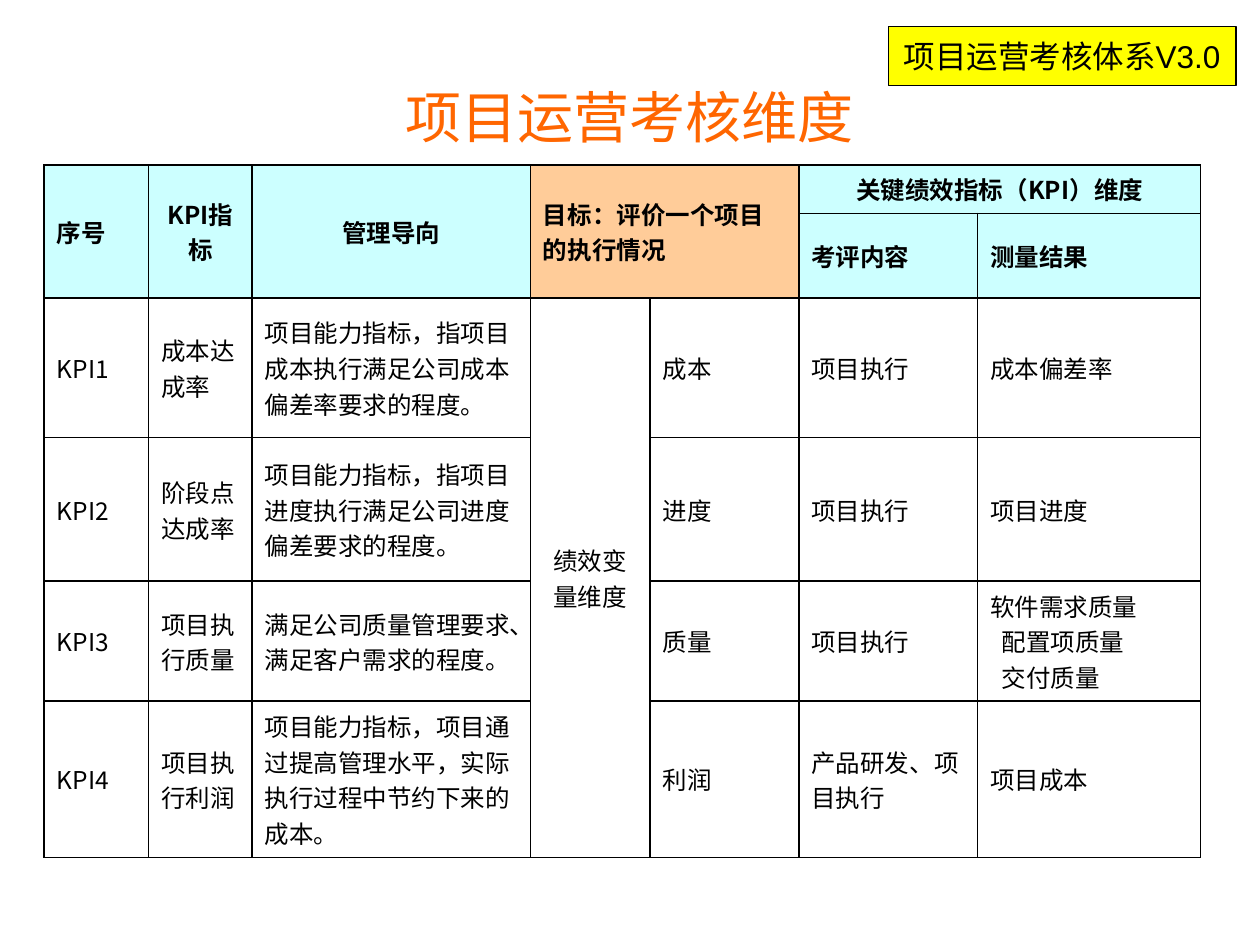
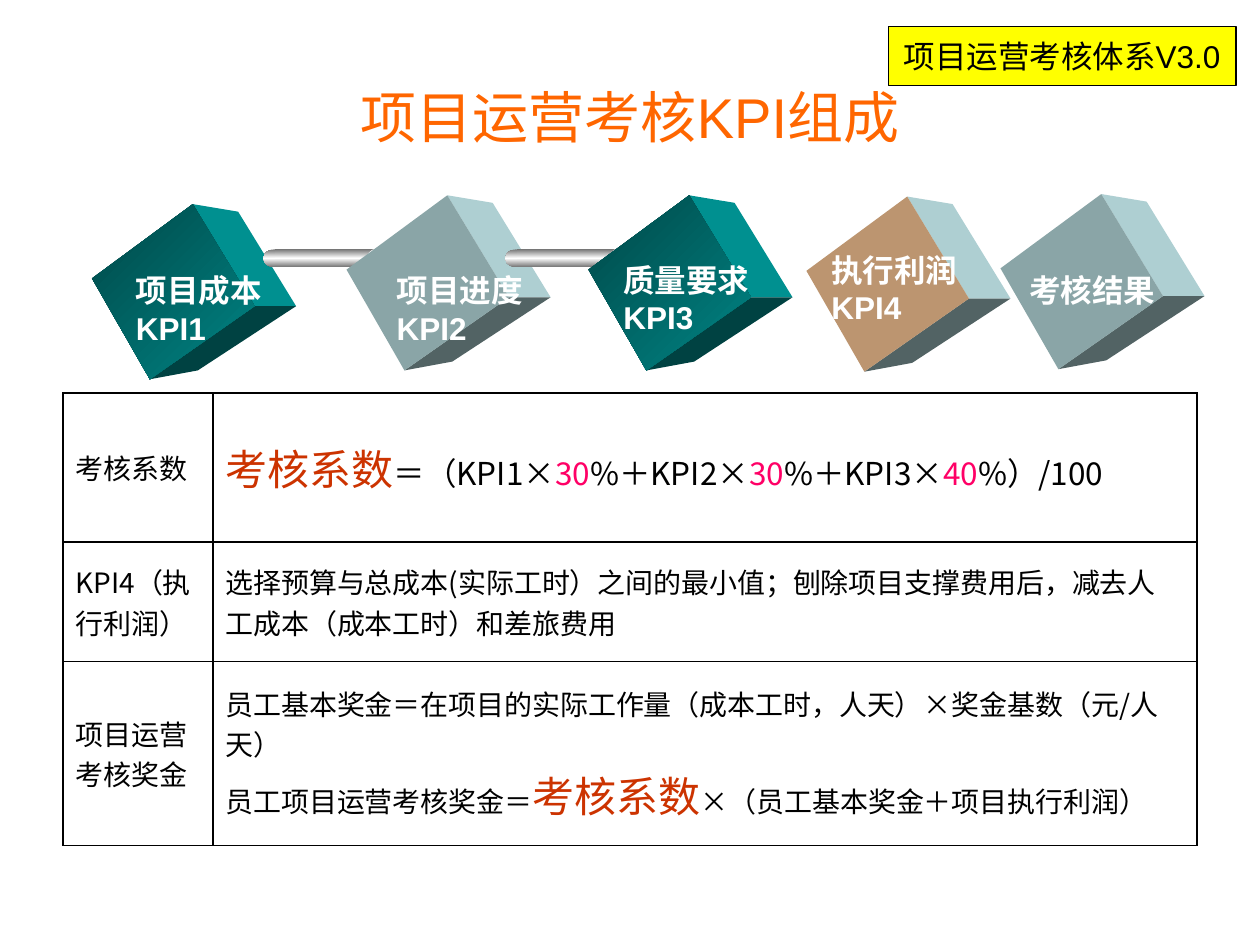
from lxml import etree
from pptx import Presentation
from pptx import util as u
from pptx.dml.color import RGBColor
from pptx.enum import shapes, text
from pptx.oxml import ns

# Shared look
LATIN, CHINESE = "Arial", "Noto Sans CJK SC"
BLACK, WHITE, ORANGE, YELLOW = "000000", "FFFFFF", "FF6600", "FFFF00"
HEADER, GOAL = "CCFFFF", "FFCC99"
RED, PINK = "CC3300", "FF0066"
CENTER, LEFT = text.PP_ALIGN.CENTER, text.PP_ALIGN.LEFT
MIDDLE, TOP = text.MSO_ANCHOR.MIDDLE, text.MSO_ANCHOR.TOP

# Cube faces: front colours (dark to light), side, underside
TEAL = (["004747", "008585"], "009090", "004242")
GREY = (["8AA5A7"], "AECFD2", "526364")
TAN = (["BC9570"], "AECFD2", "526364")

# Cube corners, in inches from the centre of the front face
FRONT_LEFT, FRONT_TOP = (-0.63, -0.11), (0.17, -0.7)
FRONT_RIGHT, FRONT_BOTTOM = (0.66, 0.11), (-0.17, 0.69)
BACK_TOP, BACK_RIGHT, BACK_BOTTOM = (0.53, -0.64), (0.99, 0.11), (0.21, 0.62)


def rgb(color):
    return RGBColor.from_string(color)


def box(left, top, width, height):
    return [u.Inches(value) for value in (left, top, width, height)]


def write(frame, paragraphs, size=14, color=BLACK, font=LATIN, bold=False,
          align=LEFT, anchor=MIDDLE, wrap=True):
    """Each paragraph is a string or a list of (text, format) runs."""
    frame.word_wrap = wrap
    frame.vertical_anchor = anchor
    for index, runs in enumerate(paragraphs):
        paragraph = frame.paragraphs[0] if index == 0 else frame.add_paragraph()
        paragraph.alignment = align
        if isinstance(runs, str):
            runs = [(runs, {})]
        for words, look in runs:
            if words == "\n":
                paragraph.add_line_break()
                continue
            run = paragraph.add_run()
            run.text = words
            run.font.size = u.Pt(look.get("size", size))
            run.font.bold = bold
            run.font.color.rgb = rgb(look.get("color", color))
            run.font.name = font
            east_asian = etree.SubElement(run.font._element, ns.qn("a:ea"))
            east_asian.set("typeface", CHINESE)


def paint(shape, colors, angle=90, line=None, line_width=1):
    """One colour gives a solid fill, several an even gradient."""
    shape.shadow.inherit = False
    if len(colors) == 1:
        shape.fill.solid()
        shape.fill.fore_color.rgb = rgb(colors[0])
    else:
        shape.fill.gradient()
        shape.fill.gradient_angle = angle
        stops = shape._element.spPr.find(".//" + ns.qn("a:gsLst"))
        for stop in list(stops):
            stops.remove(stop)
        for index, color in enumerate(colors):
            stop = etree.SubElement(stops, ns.qn("a:gs"))
            stop.set("pos", str(100000 * index // (len(colors) - 1)))
            etree.SubElement(stop, ns.qn("a:srgbClr")).set("val", color)
    if line:
        shape.line.color.rgb = rgb(line)
        shape.line.width = u.Pt(line_width)
    else:
        shape.line.fill.background()


def add_titled_slide(presentation, title):
    slide = presentation.slides.add_slide(presentation.slide_layouts[5])
    holder = slide.shapes.title
    holder.left, holder.top, holder.width, holder.height = box(0.5, 0.3, 9, 1.25)
    write(holder.text_frame, [title], size=32, color=ORANGE, align=CENTER)
    return slide


def add_badge(slide):
    badge = slide.shapes.add_shape(
        shapes.MSO_SHAPE.FLOWCHART_PROCESS, *box(7.05, 0.21, 2.76, 0.47))
    paint(badge, [YELLOW], line=BLACK, line_width=0.75)
    write(badge.text_frame, ["项目运营考核体系V3.0"], size=18, align=CENTER,
          wrap=False)


def add_table(slide, left, top, columns, rows):
    shape = slide.shapes.add_table(
        len(rows), len(columns), *box(left, top, sum(columns), sum(rows)))
    table = shape.table
    table.first_row = table.horz_banding = False
    for column, width in zip(table.columns, columns):
        column.width = u.Inches(width)
    for row, height in zip(table.rows, rows):
        row.height = u.Inches(height)
    for cell in table.iter_cells():
        add_borders(cell)
        cell.fill.background()
    return table


def add_borders(cell):
    properties = cell._tc.get_or_add_tcPr()
    for side in ("lnL", "lnR", "lnT", "lnB"):
        line = etree.SubElement(properties, ns.qn("a:" + side))
        line.set("w", str(u.Pt(1)))
        fill = etree.SubElement(line, ns.qn("a:solidFill"))
        etree.SubElement(fill, ns.qn("a:srgbClr")).set("val", BLACK)


def fill_cell(cell, paragraphs, fill=None, **look):
    if fill:
        cell.fill.solid()
        cell.fill.fore_color.rgb = rgb(fill)
    cell.vertical_anchor = MIDDLE
    write(cell.text_frame, paragraphs, font=CHINESE, **look)


def add_cube(slide, center_x, center_y, faces):
    front, side, underside = faces
    outlines = (
        ([side], (FRONT_TOP, BACK_TOP, BACK_RIGHT, FRONT_RIGHT)),
        ([underside], (FRONT_RIGHT, BACK_RIGHT, BACK_BOTTOM, FRONT_BOTTOM)),
        (front, (FRONT_LEFT, FRONT_TOP, FRONT_RIGHT, FRONT_BOTTOM)),
    )
    for colors, corners in outlines:
        points = [(u.Inches(center_x + x), u.Inches(center_y + y))
                  for x, y in corners]
        builder = slide.shapes.build_freeform(*points[0])
        builder.add_line_segments(points[1:], close=True)
        paint(builder.convert_to_shape(), colors, angle=315)


def add_rod(slide, left):
    """A metal rod with a rounded start and a drilled end."""
    group = slide.shapes.add_group_shape()
    oval, bar = shapes.MSO_SHAPE.OVAL, shapes.MSO_SHAPE.RECTANGLE
    for kind, offset, top, width, height, edge, line in (
            (oval, 0, 1.98, 0.17, 0.14, "767676", None),
            (bar, 0.09, 1.98, 0.82, 0.14, "767676", None),
            (oval, 0.83, 1.98, 0.15, 0.13, "B6B6B6", WHITE),
            (oval, 0.91, 2.02, 0.04, 0.04, "B6B6B6", None)):
        part = group.shapes.add_shape(
            kind, *box(left + offset, top, width, height))
        paint(part, [edge, WHITE, edge], line=line)


def add_label(slide, left, top, width, height, lines):
    label = slide.shapes.add_textbox(*box(left, top, width, height))
    write(label.text_frame, lines, size=18, color=WHITE, bold=True, anchor=TOP)


def build_dimensions(presentation):
    slide = add_titled_slide(presentation, "项目运营考核维度")
    add_badge(slide)
    table = add_table(slide, 0.35, 1.31,
                      [0.83, 0.82, 2.21, 0.95, 1.18, 1.42, 1.77],
                      [0.38, 0.67, 1.11, 1.14, 0.95, 1.24])

    # Header: row, column, last row, last column, words, fill, alignment
    for row, column, last_row, last_column, words, fill, align in (
            (0, 0, 1, 0, "序号", HEADER, LEFT),
            (0, 1, 1, 1, "KPI指标", HEADER, CENTER),
            (0, 2, 1, 2, "管理导向", HEADER, CENTER),
            (0, 3, 1, 4, "目标：评价一个项目的执行情况", GOAL, LEFT),
            (0, 5, 0, 6, "关键绩效指标（KPI）维度", HEADER, CENTER),
            (1, 5, 1, 5, "考评内容", HEADER, LEFT),
            (1, 6, 1, 6, "测量结果", HEADER, LEFT)):
        cell = table.cell(row, column)
        if (row, column) != (last_row, last_column):
            cell.merge(table.cell(last_row, last_column))
        fill_cell(cell, [words], fill=fill, bold=True, align=align)

    # Body: one row for each KPI, beside the shared dimension cell
    dimension = table.cell(2, 3)
    dimension.merge(table.cell(5, 3))
    fill_cell(dimension, ["绩效变量维度"], align=CENTER)
    body = (
        ("成本达成率", "项目能力指标，指项目成本执行满足公司成本偏差率要求的程度。",
         "成本", "项目执行", ["成本偏差率"]),
        ("阶段点达成率", "项目能力指标，指项目进度执行满足公司进度偏差要求的程度。",
         "进度", "项目执行", ["项目进度"]),
        ("项目执行质量", "满足公司质量管理要求、满足客户需求的程度。",
         "质量", "项目执行", ["软件需求质量", "配置项质量", "交付质量"]),
        ("项目执行利润", "项目能力指标，项目通过提高管理水平，实际执行过程中节约下来的成本。",
         "利润", "产品研发、项目执行", ["项目成本"]),
    )
    for number, (name, guidance, variable, content, results) in enumerate(body, 1):
        row = number + 1
        for column, words in ((0, f"KPI{number}"), (1, name), (2, guidance),
                              (4, variable), (5, content)):
            fill_cell(table.cell(row, column), [words])
        fill_cell(table.cell(row, 6), results)
        for paragraph in table.cell(row, 6).text_frame.paragraphs[1:]:
            paragraph._p.get_or_add_pPr().set("marL", str(u.Inches(0.09)))


def build_composition(presentation):
    slide = add_titled_slide(presentation, "项目运营考核KPI组成")

    # Cubes joined by rods
    add_cube(slide, 1.36, 2.32, TEAL)
    add_rod(slide, 2.09)
    add_cube(slide, 3.38, 2.25, GREY)
    add_rod(slide, 4.01)
    add_cube(slide, 5.3, 2.25, TEAL)
    add_cube(slide, 8.57, 2.24, GREY)
    add_label(slide, 0.98, 2.1, 1.28, 0.7, ["项目成本", "KPI1"])
    add_label(slide, 3.05, 2.1, 1.56, 0.7, ["项目进度", "KPI2"])
    add_label(slide, 4.85, 2.02, 1.44, 0.7, ["质量要求", "KPI3"])
    add_label(slide, 8.07, 2.1, 1.42, 0.4, ["考核结果"])

    # Formulas
    table = add_table(slide, 0.5, 3.12, [1.19, 7.81], [1.18, 0.95, 1.46])
    factor = ("考核系数", {"size": 24, "color": RED})
    formula = [factor]
    for words, weight in (("＝（KPI1×", "30"), ("%＋KPI2×", "30"),
                          ("%＋KPI3×", "40")):
        formula += [(words, {"size": 18}), (weight, {"size": 18, "color": PINK})]
    formula.append(("%）/100", {"size": 18}))
    bonus = [
        ("员工基本奖金＝在项目的实际工作量（成本工时，人天）×奖金基数（元/人天）", {}),
        ("\n", {}),
        ("员工项目运营考核奖金＝", {}),
        factor,
        ("×（员工基本奖金＋项目执行利润）", {}),
    ]
    rows = (
        ("考核系数", formula),
        ("KPI4（执行利润）", "选择预算与总成本(实际工时）之间的最小值；"
         "刨除项目支撑费用后，减去人工成本（成本工时）和差旅费用"),
        ("项目运营考核奖金", bonus),
    )
    for row, cells in enumerate(rows):
        for column, words in enumerate(cells):
            fill_cell(table.cell(row, column), [words], size=16)

    # Badge and the profit cube lie on top
    add_badge(slide)
    add_cube(slide, 7.03, 2.26, TAN)
    add_label(slide, 6.5, 1.94, 1.42, 0.7, ["执行利润KPI4"])


def main():
    presentation = Presentation()
    presentation.slide_width = u.Inches(10)
    presentation.slide_height = u.Inches(7.5)
    build_dimensions(presentation)
    build_composition(presentation)
    presentation.save("out.pptx")


if __name__ == "__main__":
    main()
